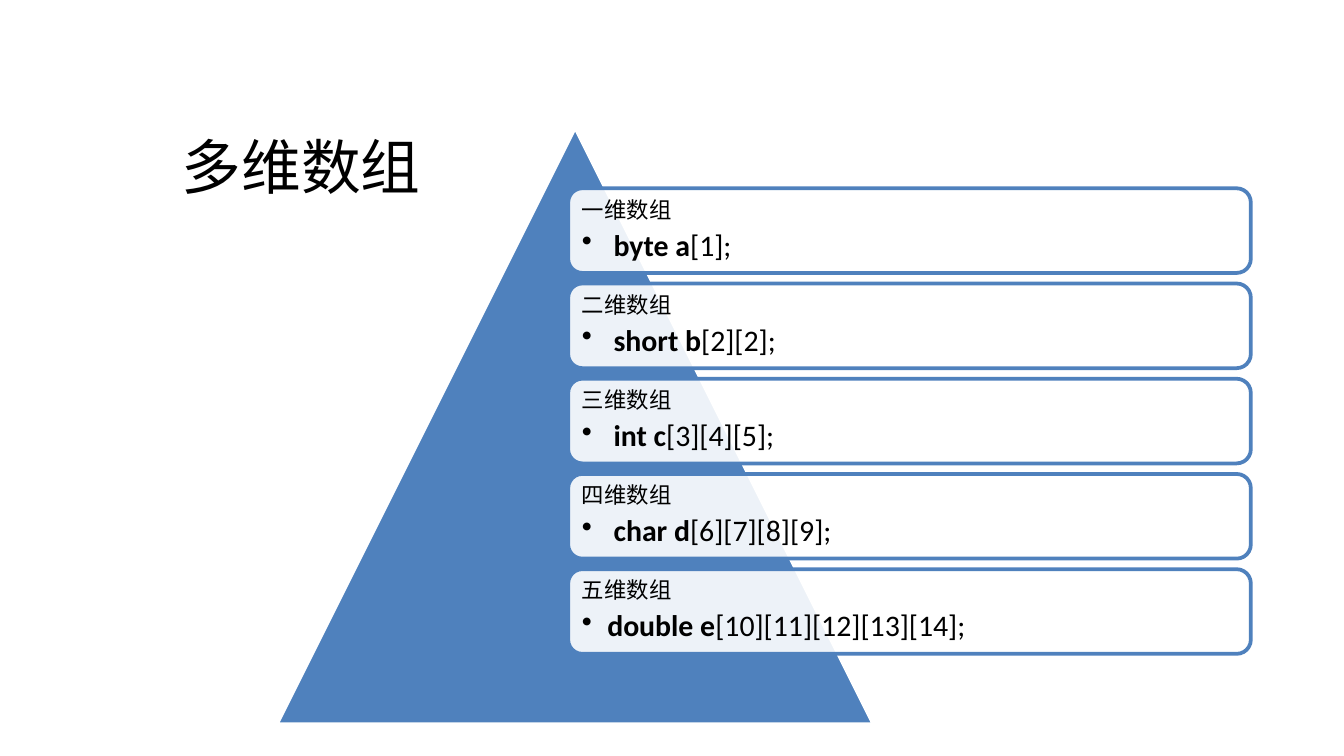
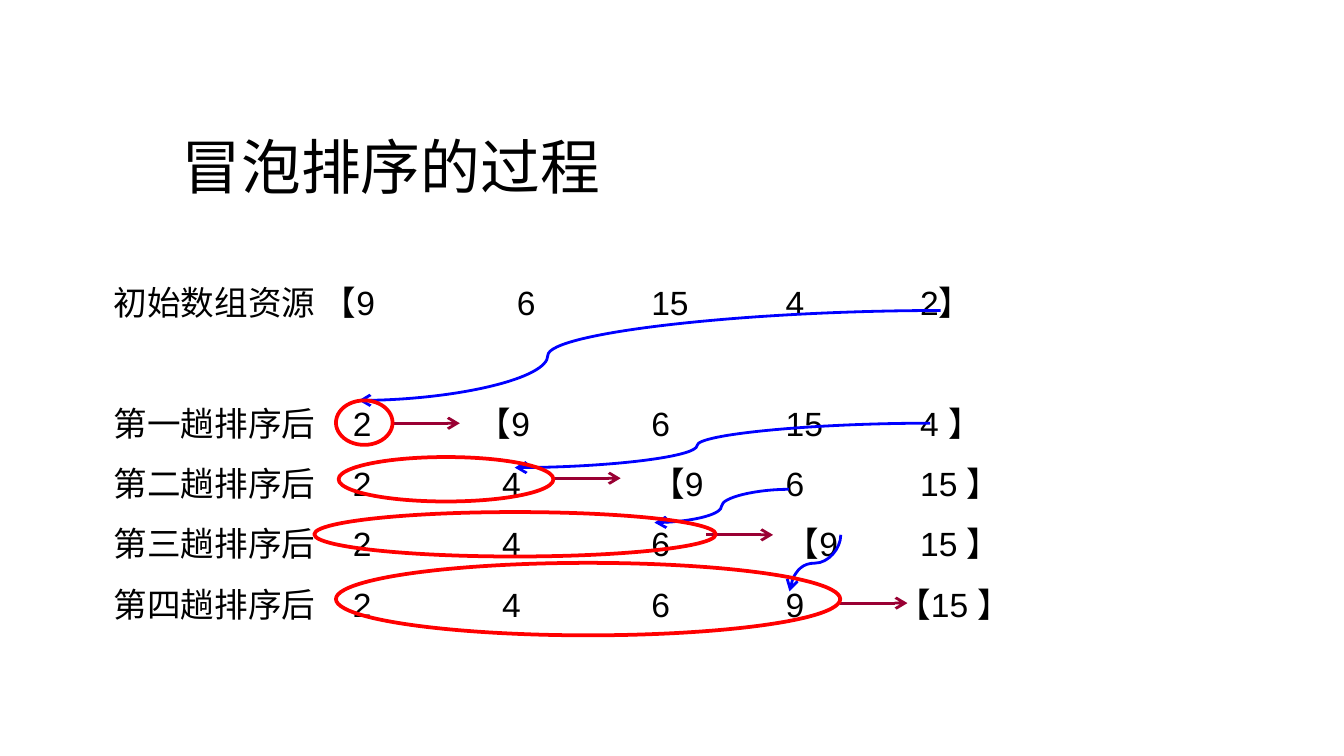
from dataclasses import dataclass

from lxml import etree
from pptx import Presentation
from pptx import util as u
from pptx.dml.color import RGBColor
from pptx.enum import shapes, text
from pptx.oxml import ns


@dataclass(frozen=True)
class Theme:
    black: str = "000000"
    white: str = "FFFFFF"
    accent: str = "4F81BD"
    move: str = "0000FF"
    rest: str = "990033"
    ring: str = "FF0000"
    heading_font: str = "Calibri"
    table_font: str = "Arial"
    title_size: int = 32
    label_size: int = 12
    code_size: int = 16
    table_size: int = 18
    outline: float = 2
    arrow: float = 1.5


THEME = Theme()
SLIDE_SIZE = 25.4, 14.29
TITLE_BOX = 3.18, 2.29, 15.44, 1.7

ARRAYS_TITLE = "多维数组"
ARRAYS = [
    ("一维数组", "byte a", "[1];", 0.6),
    ("二维数组", "short b", "[2][2];", 0.6),
    ("三维数组", "int c", "[3][4][5];", 0.6),
    ("四维数组", "char d", "[6][7][8][9];", 0.6),
    ("五维数组", "double e", "[10][11][12][13][14];", 0.48),
]
PYRAMID_BOX = 5.23, 2.41, 11.28, 11.28
CARD_BOX = 10.74, 3.56, 12.9, 1.6
CARD_STEP = 1.8
CARD_INSET = 0.18

SORT_TITLE = "冒泡排序的过程"
SORT_BOX = 1.9, 4.83, 18.42, 7.19
FIRST, SECOND, THIRD, FOURTH, FIFTH = 4.52, 7.34, 10.16, 12.7, 15.24
PASSES = [
    ("初始数组资源 【9\t6\t15\t4\t2】", (7.62, THIRD, FOURTH, FIFTH), 0),
    ("第一趟排序后\t2\t【9\t6\t15\t4 】", (FIRST, 6.88, THIRD, FOURTH, FIFTH), 32),
    ("第二趟排序后\t2\t4\t【9\t6\t15 】", (FIRST, SECOND, THIRD, FOURTH, FIFTH), 0),
    ("第三趟排序后\t2\t4\t6\t【9\t15 】", (FIRST, SECOND, THIRD, FOURTH, FIFTH), 0),
    ("第四趟排序后\t2\t4\t6\t9\t【15 】", (FIRST, SECOND, THIRD, FOURTH, 14.81), 0),
]
MOVES = [
    ((17.78, 5.87, 6.78, 7.57), 0.675, 0),
    ((17.58, 8.0, 9.73, 8.84), 0.561, 0),
    ((14.91, 9.25, 12.37, 9.88), 0.5, 0),
    ((14.87, 10.16, 15.94, 11.13), 0.5, 90),
]
REST_LENGTH = 1.27
REST_STARTS = [(7.42, 8.0), (10.46, 9.04), (13.34, 10.11), (15.88, 11.4)]
SORTED_RINGS = [
    (6.35, 7.57, 1.07, 0.84),
    (6.4, 8.64, 4.06, 0.84),
    (5.94, 9.68, 7.59, 0.84),
    (6.35, 10.64, 9.53, 1.37),
]


def cm(values):
    return [u.Cm(value) for value in values]


def add_xml(parent, tag, **attributes):
    child = etree.SubElement(parent, ns.qn(tag))
    for name, value in attributes.items():
        child.set(name, str(value))
    return child


def set_font(font, name, size):
    font.name = name
    font.size = u.Pt(size)
    font.color.rgb = RGBColor.from_string(THEME.black)


def add_titled_page(deck, title):
    page = deck.slides.add_slide(deck.slide_layouts[5])
    box = page.shapes.title
    box.left, box.top, box.width, box.height = cm(TITLE_BOX)
    box.text_frame.text = title
    para = box.text_frame.paragraphs[0]
    para.alignment = text.PP_ALIGN.LEFT
    set_font(para.font, THEME.heading_font, THEME.title_size)
    return page


def add_figure(page, kind, place, line, fill=None):
    figure = page.shapes.add_shape(kind, *cm(place))
    figure.shadow.inherit = False
    if fill:
        figure.fill.solid()
        figure.fill.fore_color.rgb = RGBColor.from_string(fill)
    else:
        figure.fill.background()
    figure.line.color.rgb = RGBColor.from_string(line)
    figure.line.width = u.Pt(THEME.outline)
    return figure


def add_arrow(page, kind, ends, color):
    arrow = page.shapes.add_connector(kind, *cm(ends))
    arrow.line.color.rgb = RGBColor.from_string(color)
    arrow.line.width = u.Pt(THEME.arrow)
    properties = arrow.element.spPr
    add_xml(properties.find(ns.qn("a:ln")), "a:tailEnd", type="arrow")
    add_xml(properties, "a:effectLst")
    return arrow


def add_move(page, ends, bend, turn):
    arrow = add_arrow(page, shapes.MSO_CONNECTOR.CURVE, ends, THEME.move)
    properties = arrow.element.spPr
    if turn:
        properties.find(ns.qn("a:xfrm")).set("rot", str(turn * 60000))
    guides = properties.find(ns.qn("a:prstGeom")).find(ns.qn("a:avLst"))
    add_xml(guides, "a:gd", name="adj1", fmla=f"val {round(bend * 100000)}")


def add_card(page, place, label, declaration, dimensions, hanging):
    card = add_figure(page, shapes.MSO_SHAPE.ROUNDED_RECTANGLE, place, THEME.accent, THEME.white)
    color = card.element.spPr.find(ns.qn("a:solidFill"))[0]
    add_xml(color, "a:alpha", val=90000)
    frame = card.text_frame
    frame.word_wrap = True
    frame.vertical_anchor = text.MSO_ANCHOR.MIDDLE
    frame.margin_left = frame.margin_right = u.Cm(CARD_INSET)
    frame.margin_top = frame.margin_bottom = u.Cm(CARD_INSET)

    heading, code = frame.paragraphs[0], frame.add_paragraph()
    heading.text = label
    code.level = 1
    properties = code._p.get_or_add_pPr()
    properties.set("marL", str(u.Cm(hanging)))
    properties.set("indent", str(-u.Cm(hanging)))
    add_xml(properties, "a:buChar", char="•")
    for words, bold in ((declaration, True), (dimensions, False)):
        span = code.add_run()
        span.text = words
        span.font.bold = bold
    for para, size, after in ((heading, THEME.label_size, 4), (code, THEME.code_size, 2)):
        para.alignment = text.PP_ALIGN.LEFT
        para.line_spacing = 0.9
        para.space_after = u.Pt(after)
        set_font(para.font, THEME.heading_font, size)


def add_passes(page):
    frame = page.shapes.add_textbox(*cm(SORT_BOX)).text_frame
    frame.word_wrap = True
    for index, (words, stops, before) in enumerate(PASSES):
        para = frame.add_paragraph() if index else frame.paragraphs[0]
        para.add_run().text = words
        tabs = add_xml(para._p.get_or_add_pPr(), "a:tabLst")
        for stop in stops:
            add_xml(tabs, "a:tab", pos=u.Cm(stop), algn="l")
        para.line_spacing = 1.5
        if before:
            para.space_before = u.Pt(before)
        set_font(para.font, THEME.table_font, THEME.table_size)


def build_arrays(deck):
    page = add_titled_page(deck, ARRAYS_TITLE)
    add_figure(page, shapes.MSO_SHAPE.ISOSCELES_TRIANGLE, PYRAMID_BOX, THEME.white, THEME.accent)
    left, top, width, height = CARD_BOX
    for index, array in enumerate(ARRAYS):
        add_card(page, (left, top + index * CARD_STEP, width, height), *array)


def build_sort(deck):
    page = add_titled_page(deck, SORT_TITLE)
    add_passes(page)
    for move in MOVES:
        add_move(page, *move)
    for x, y in REST_STARTS:
        add_arrow(page, shapes.MSO_CONNECTOR.STRAIGHT, (x, y, x + REST_LENGTH, y), THEME.rest)
    for ring in SORTED_RINGS:
        add_figure(page, shapes.MSO_SHAPE.OVAL, ring, THEME.ring)


def main():
    deck = Presentation()
    deck.slide_width, deck.slide_height = cm(SLIDE_SIZE)
    build_arrays(deck)
    build_sort(deck)
    deck.save("out.pptx")


if __name__ == "__main__":
    main()
